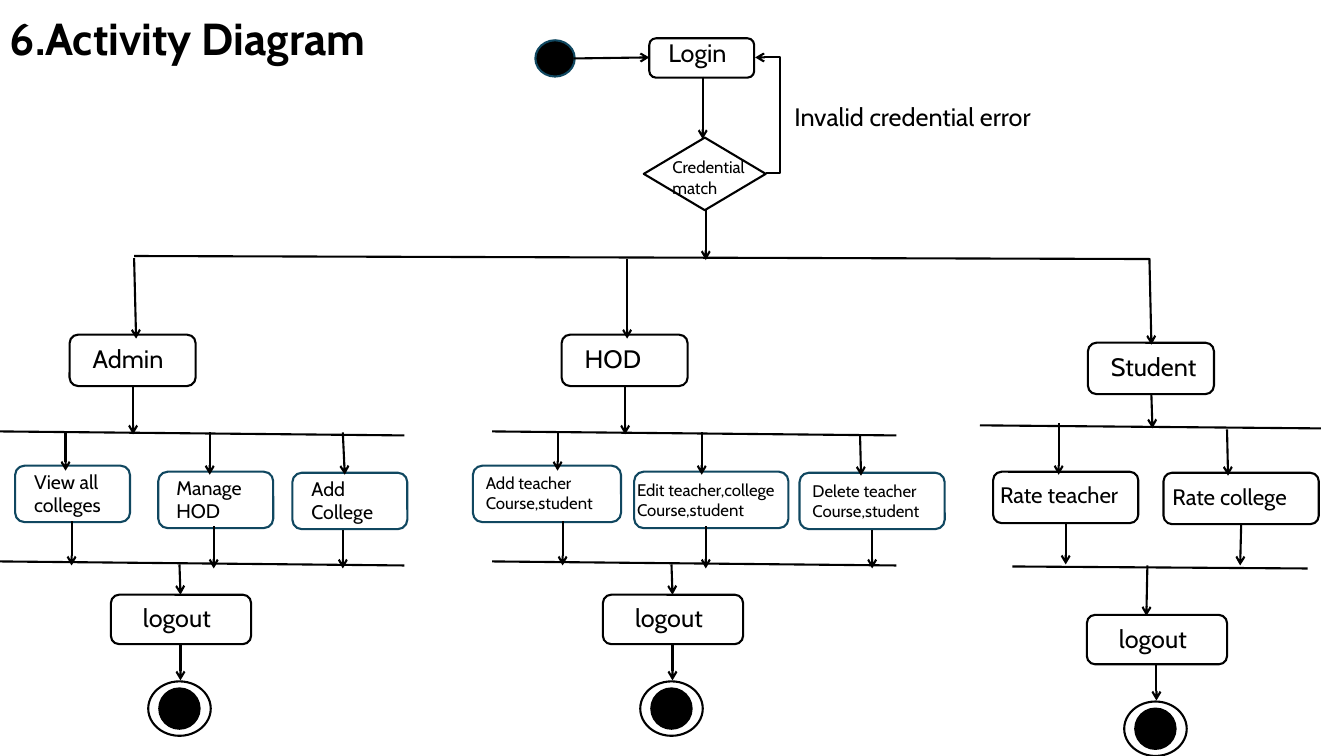
"""Build the activity diagram slide for login, roles and logout."""
from dataclasses import dataclass
from typing import Any

from lxml.etree import SubElement as Sub
from pptx import Presentation
from pptx.dml.color import RGBColor as Rgb
from pptx.enum.shapes import MSO_CONNECTOR as Con
from pptx.enum.shapes import MSO_SHAPE as Geo
from pptx.enum.text import MSO_AUTO_SIZE as Fit
from pptx.oxml.ns import qn
from pptx.util import Inches, Pt

HUES = {"ink": "000000", "teal": "104760"}
FRAME = {"word_wrap": True, "auto_size": Fit.SHAPE_TO_FIT_TEXT}
FONT = {"name": "Cabin", "bold": False}
WIDTH = Pt(1.5)


@dataclass
class Node:
    x: float
    y: float
    w: float
    h: float
    geo: Any = Geo.ROUNDED_RECTANGLE
    edge: str = "ink"
    fill: str = ""
    turn: float = 0


@dataclass
class Label:
    x: float
    y: float
    w: float
    h: float
    text: str
    size: int = 18
    bold: bool = False
    wrap: bool = True


@dataclass
class Line:
    x1: float
    y1: float
    x2: float
    y2: float
    head: bool = True
    bend: float = 0


@dataclass
class Task:
    node: Node
    label: Label
    enter: Line
    leave: Line


@dataclass
class Lane:
    x: float
    y: float
    name: str
    down: Line
    bars: list[Line]
    tasks: list[Task]
    out: Line
    end: tuple[float, float]


def apply(item: Any, *forms: dict[str, Any]) -> None:
    for form in forms:
        for key, value in form.items():
            setattr(item, key, value)


def draw_node(shapes: Any, node: Node) -> None:
    box = shapes.add_shape(node.geo, *map(Inches, (node.x, node.y, node.w, node.h)))
    box.shadow.inherit = False
    box.rotation = node.turn
    if node.fill:
        box.fill.solid()
        box.fill.fore_color.rgb = Rgb.from_string(HUES[node.fill])
    else:
        box.fill.background()
    box.line.color.rgb = Rgb.from_string(HUES[node.edge])
    box.line.width = WIDTH


def draw_label(shapes: Any, label: Label) -> None:
    box = shapes.add_textbox(*map(Inches, (label.x, label.y, label.w, label.h)))
    frame = box.text_frame
    frame.text = label.text
    apply(frame, FRAME, {"word_wrap": label.wrap})
    for para in frame.paragraphs:
        for run in para.runs:
            apply(run.font, FONT, {"size": Pt(label.size), "bold": label.bold})
            run.font.color.rgb = Rgb.from_string(HUES["ink"])


def draw_line(shapes: Any, line: Line) -> None:
    kind = Con.ELBOW if line.bend else Con.STRAIGHT
    link = shapes.add_connector(kind, *map(Inches, (line.x1, line.y1, line.x2, line.y2)))
    link.line.color.rgb = Rgb.from_string(HUES["ink"])
    link.line.width = WIDTH
    props = link.element.spPr
    if line.head:
        Sub(props.find(qn("a:ln")), qn("a:tailEnd"), type="arrow")
    if line.bend:
        guides = props.find(qn("a:prstGeom")).find(qn("a:avLst"))
        Sub(guides, qn("a:gd"), name="adj1", fmla=f"val {round(line.bend * 100000)}")
    Sub(props, qn("a:effectLst"))


def draw_exit(shapes: Any, x: float, y: float) -> None:
    draw_node(shapes, Node(x, y, 1.39, 0.49))
    draw_label(shapes, Label(x + 0.22, y + 0.03, 1.06, 0.4, "logout"))
    draw_line(shapes, Line(x + 0.69, y + 0.49, x + 0.69, y + 0.85))
    draw_node(shapes, Node(x + 0.37, y + 0.86, 0.62, 0.54, Geo.OVAL))
    draw_node(shapes, Node(x + 0.48, y + 0.93, 0.4, 0.4, Geo.OVAL, fill="ink"))


def draw_lane(shapes: Any, lane: Lane) -> None:
    draw_node(shapes, Node(lane.x, lane.y, 1.25, 0.51))
    draw_label(shapes, Label(lane.x + 0.13, lane.y + 0.04, 1.28, 0.4, lane.name))
    for line in (lane.down, *lane.bars, lane.out):
        draw_line(shapes, line)
    for task in lane.tasks:
        draw_node(shapes, task.node)
        draw_label(shapes, task.label)
        draw_line(shapes, task.enter)
        draw_line(shapes, task.leave)
    draw_exit(shapes, *lane.end)


def teal(x: float, y: float, w: float) -> Node:
    return Node(x, y, w, 0.56, edge="teal")


def twin(x: float, name: str, tasks: list[Task]) -> Lane:
    bars = [Line(x, y, x + 4.01, y + 0.04, False) for y in (4.28, 5.57)]
    return Lane(x + 0.69, 3.32, name, Line(x + 1.32, 3.83, x + 1.32, 4.31), bars,
                tasks, Line(x + 1.78, 5.6, x + 1.79, 5.9), (x + 1.1, 5.9))


ADMIN = [
    Task(teal(0.15, 4.62, 1.14), Label(0.24, 4.61, 1.21, 0.57, "View all colleges", 14),
         Line(0.65, 4.29, 0.65, 4.67), Line(0.71, 5.17, 0.71, 5.61)),
    Task(teal(1.57, 4.68, 1.14), Label(1.65, 4.67, 1.21, 0.57, "Manage\nHOD", 14),
         Line(2.08, 4.29, 2.08, 4.71), Line(2.12, 5.22, 2.12, 5.64)),
    Task(teal(2.9, 4.69, 1.14), Label(2.99, 4.68, 1.21, 0.57, "Add\nCollege", 14),
         Line(3.4, 4.29, 3.42, 4.71), Line(3.4, 5.26, 3.4, 5.64)),
]
HEAD = [
    Task(teal(4.69, 4.62, 1.47), Label(4.72, 4.64, 1.68, 0.5, "Add teacher\nCourse,student", 12),
         Line(5.53, 4.29, 5.53, 4.67), Line(5.58, 5.17, 5.58, 5.61)),
    Task(teal(6.29, 4.68, 1.53),
         Label(6.22, 4.71, 1.75, 0.5, "Edit teacher,college\nCourse,student", 12),
         Line(6.96, 4.29, 6.96, 4.71), Line(7, 5.22, 7, 5.64)),
    Task(teal(7.93, 4.69, 1.44), Label(7.96, 4.72, 1.68, 0.5, "Delete teacher\nCourse,student", 12),
         Line(8.53, 4.31, 8.54, 4.72), Line(8.65, 5.26, 8.65, 5.64)),
]
PUPIL = [
    Task(Node(9.85, 4.68, 1.44, 0.51), Label(9.82, 4.72, 1.64, 0.37, "Rate teacher", 16),
         Line(10.5, 4.2, 10.5, 4.71), Line(10.57, 5.2, 10.57, 5.6)),
    Task(Node(11.54, 4.69, 1.54, 0.51), Label(11.53, 4.74, 1.89, 0.37, "Rate college", 16),
         Line(12.17, 4.26, 12.18, 4.72), Line(12.31, 5.21, 12.3, 5.61)),
]
LANES = [
    twin(0, "Admin", ADMIN),
    twin(4.88, "HOD", HEAD),
    Lane(10.79, 3.4, "Student", Line(11.42, 3.92, 11.43, 4.25),
         [Line(9.72, 4.22, 13.1, 4.25, False), Line(10.04, 5.62, 12.97, 5.64, False)],
         PUPIL, Line(11.38, 5.61, 11.37, 6.11), (10.78, 6.1)),
]
NODES = [
    Node(5.31, 0.4, 0.39, 0.36, Geo.OVAL, "teal", "ink"),
    Node(6.44, 0.38, 1.04, 0.39),
    Node(6.63, 1.12, 0.72, 1.21, Geo.DIAMOND, turn=90),
]
LABELS = [
    Label(0, 0.06, 4.77, 0.64, "6.Activity Diagram", 32, True),
    Label(6.53, 0.32, 0.82, 0.4, "Login", wrap=False),
    Label(6.57, 1.51, 1.01, 0.81, "Credential\nmatch", 12, wrap=False),
    Label(7.78, 0.96, 3.14, 0.4, "Invalid credential error"),
]
LINES = [
    Line(5.69, 0.58, 6.44, 0.57), Line(6.97, 0.76, 6.97, 1.38),
    Line(7.6, 1.72, 7.49, 0.57, bend=-1.25), Line(7, 2.07, 7, 2.58),
    Line(1.33, 2.54, 11.4, 2.57, False), Line(1.33, 2.56, 1.35, 3.36),
    Line(6.22, 2.57, 6.22, 3.36), Line(11.4, 2.56, 11.42, 3.42),
]


def main() -> None:
    deck = Presentation()
    apply(deck, {"slide_width": Inches(13.33), "slide_height": Inches(7.5)})
    shapes = deck.slides.add_slide(deck.slide_layouts[6]).shapes
    for draw, items in ((draw_node, NODES), (draw_label, LABELS),
                        (draw_line, LINES), (draw_lane, LANES)):
        for item in items:
            draw(shapes, item)
    deck.save("out.pptx")


if __name__ == "__main__":
    main()
